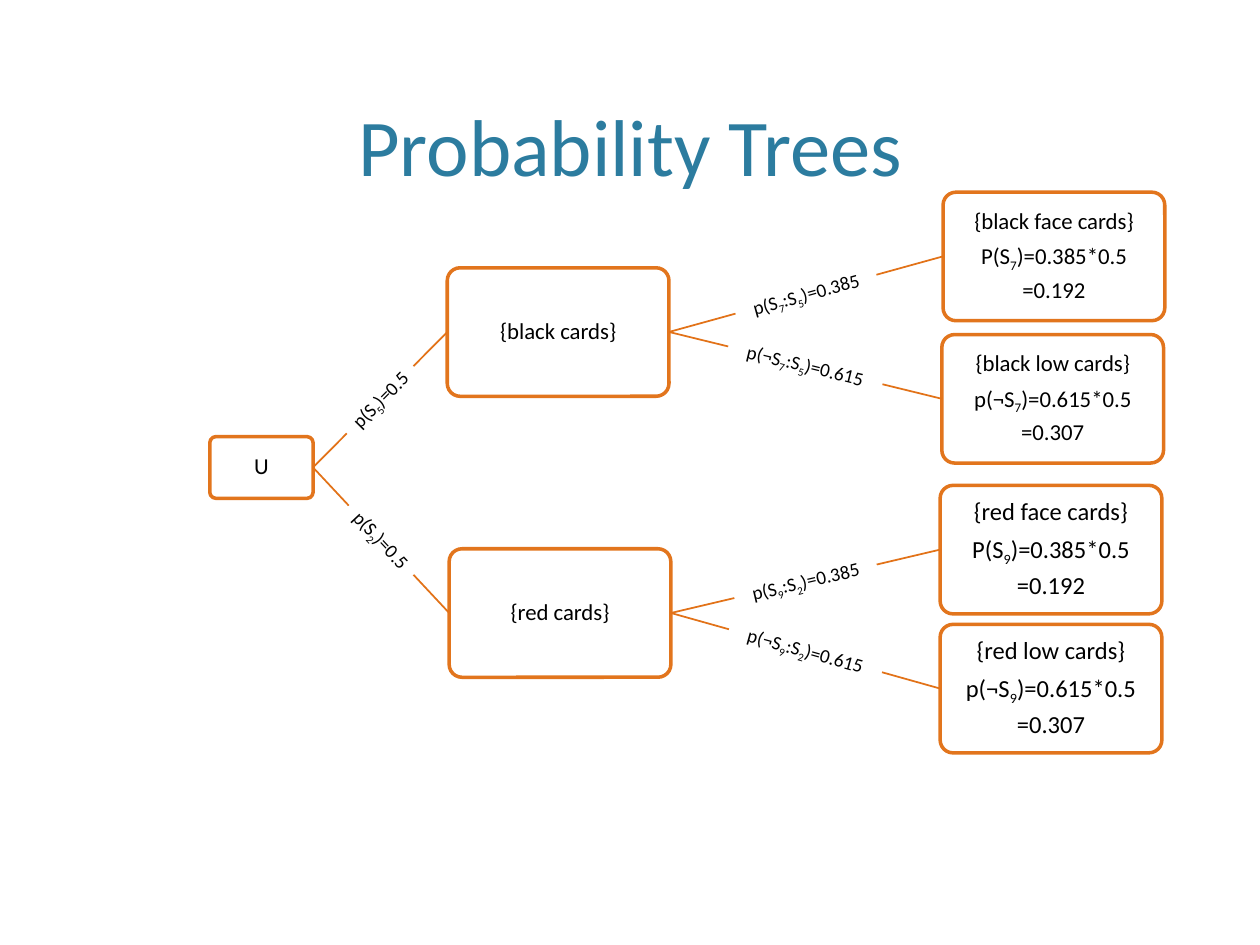
from dataclasses import dataclass
from math import atan2, degrees

from lxml.etree import SubElement
from pptx import Presentation
from pptx.dml.color import RGBColor
from pptx.enum.shapes import MSO_CONNECTOR, MSO_SHAPE
from pptx.enum.text import MSO_ANCHOR, PP_ALIGN
from pptx.oxml.ns import qn
from pptx.util import Inches, Pt

RIGHT_SIDE, LEFT_SIDE = 3, 1


@dataclass(frozen=True)
class Theme:
    font: str = "Calibri"
    title_color: str = "2C7C9F"
    text_color: str = "000000"
    background: str = "FFFFFF"
    box_line: str = "E2751D"
    branch_line: str = "E27218"
    title_size: int = 46
    box_size: int = 13
    red_leaf_size: int = 14
    label_size: int = 11


def write_text(frame, text, *, font, size, color, line_spacing=0.9,
               space_after=0.37, anchor=MSO_ANCHOR.MIDDLE, inset=(0.01, 0.01)):
    """Fill a frame, one paragraph per line; the character after "_" is a subscript."""
    frame.word_wrap = True
    frame.vertical_anchor = anchor
    frame.margin_left = frame.margin_right = Inches(inset[0])
    frame.margin_top = frame.margin_bottom = Inches(inset[1])
    for index, line in enumerate(text.split("\n")):
        para = frame.paragraphs[0] if index == 0 else frame.add_paragraph()
        para.alignment = PP_ALIGN.CENTER
        para.line_spacing = line_spacing
        para.space_after = Pt(round(size * space_after, 1))
        start, *rest = line.split("_")
        pieces = [(start, False)]
        for part in rest:
            pieces += [(part[0], True), (part[1:], False)]
        for content, is_subscript in pieces:
            span = para.add_run()
            span.text = content
            span.font.name = font
            span.font.size = Pt(size)
            span.font.color.rgb = RGBColor.from_string(color)
            if is_subscript:
                span._r.get_or_add_rPr().set("baseline", "-25000")


class TreePage:
    """A slide on a grid of 100 columns by 75 rows."""

    def __init__(self, deck, theme):
        self.theme = theme
        self.slide = deck.slides.add_slide(deck.slide_layouts[6])
        self.column = deck.slide_width / 100
        self.row = deck.slide_height / 75

    def place(self, left, top, width, height):
        return (round(left * self.column), round(top * self.row),
                round(width * self.column), round(height * self.row))

    def paint(self, shape):
        shape.fill.solid()
        shape.fill.fore_color.rgb = RGBColor.from_string(self.theme.background)

    def title(self, text, *area):
        box = self.slide.shapes.add_textbox(*self.place(*area))
        write_text(box.text_frame, text, font=self.theme.font,
                   size=self.theme.title_size, color=self.theme.title_color,
                   line_spacing=1.0, space_after=0, anchor=MSO_ANCHOR.BOTTOM,
                   inset=(0.1, 0.05))

    def node(self, text, left, top, width=17.6, height=10.2, size=None):
        box = self.slide.shapes.add_shape(
            MSO_SHAPE.ROUNDED_RECTANGLE, *self.place(left, top, width, height))
        box.adjustments[0] = 0.1
        box.shadow.inherit = False
        self.paint(box)
        box.line.color.rgb = RGBColor.from_string(self.theme.box_line)
        box.line.width = Pt(2)
        write_text(box.text_frame, text, font=self.theme.font,
                   size=size or self.theme.box_size, color=self.theme.text_color,
                   inset=(0.04, 0.04))
        return box

    def branch(self, parent, child, text, width, height=2.4):
        """Join two nodes and set a filled label along the middle of the line."""
        line = self.slide.shapes.add_connector(MSO_CONNECTOR.STRAIGHT, 0, 0, 0, 0)
        line.begin_connect(parent, RIGHT_SIDE)
        line.end_connect(child, LEFT_SIDE)
        line.line.color.rgb = RGBColor.from_string(self.theme.branch_line)
        line.line.width = Pt(1)
        SubElement(line._element.spPr, qn("a:effectLst"))

        _, _, label_width, label_height = self.place(0, 0, width, height)
        label = self.slide.shapes.add_textbox(
            (line.begin_x + line.end_x - label_width) // 2,
            (line.begin_y + line.end_y - label_height) // 2,
            label_width, label_height)
        label.rotation = degrees(atan2(line.end_y - line.begin_y,
                                       line.end_x - line.begin_x)) % 360
        self.paint(label)
        write_text(label.text_frame, text, font=self.theme.font,
                   size=self.theme.label_size, color=self.theme.text_color,
                   inset=(0.01, 0))


def main():
    deck = Presentation()
    deck.slide_width, deck.slide_height = Inches(10), Inches(7.5)
    theme = Theme()
    page = TreePage(deck, theme)
    page.title("Probability Trees", 6, 1.2, 88, 14.6)
    root = page.node("U", 16.65, 34.65, 8.2, 4.9)

    # color, left, top, own set, face set, face and low positions, leaf size
    suits = [
        ("black", 35.5, 21.25, 5, 7, (74.85, 15.25), (74.75, 26.55), theme.box_size),
        ("red", 35.65, 43.55, 2, 9, (74.62, 38.52), (74.62, 49.55), theme.red_leaf_size),
    ]
    for color, left, top, own, face, face_at, low_at, size in suits:
        suit = page.node(f"{{{color} cards}}", left, top)
        page.branch(root, suit, f"p(S_{own})=0.5", 7.5)
        leaves = [
            ("face", "P(", "p(", "0.385", "0.192", face_at, 11.6),
            ("low", "p(¬", "p(¬", "0.615", "0.307", low_at, 12.6),
        ]
        for rank, total, given, chance, result, at, width in leaves:
            leaf = page.node(
                f"{{{color} {rank} cards}}\n{total}S_{face})={chance}*0.5\n={result}",
                *at, size=size)
            page.branch(suit, leaf, f"{given}S_{face}:S_{own})={chance}", width)

    deck.save("out.pptx")


if __name__ == "__main__":
    main()
